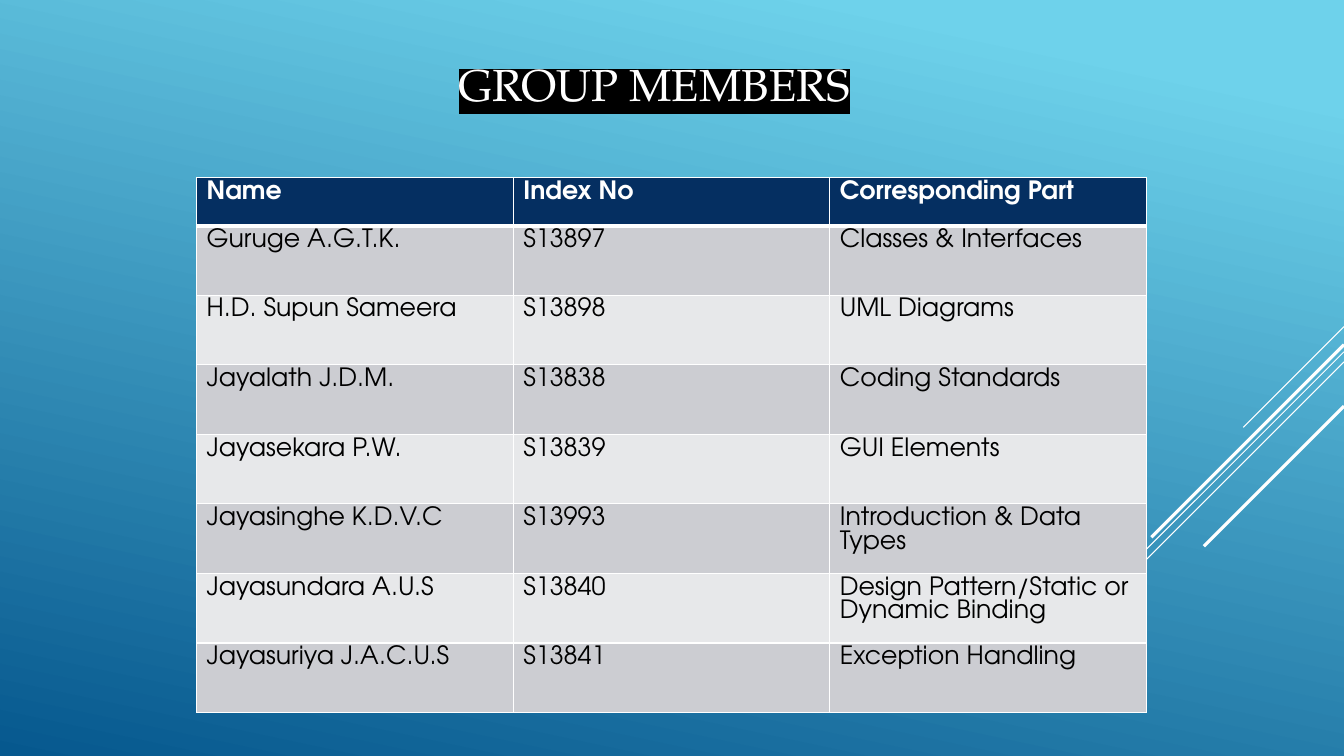
from lxml import etree
from pptx import Presentation
from pptx import util as u
from pptx.dml.color import RGBColor
from pptx.enum import shapes, text
from pptx.oxml.ns import qn


def rgb(value):
    return RGBColor.from_string(value)


class Deck:
    """Holds the presentation, its style and the current slide."""

    HEAD_FONT, BODY_FONT = "TeX Gyre Pagella", "TeX Gyre Adventor"
    WHITE, BLACK, NAVY = "FFFFFF", "000000", "052F61"
    BANDS = "CCCDD2", "E7E8EA"

    def __init__(self, width, height):
        self.prs = Presentation()
        self.prs.slide_width, self.prs.slide_height = u.Inches(width), u.Inches(height)
        self.s = self.prs.slides.add_slide(self.prs.slide_layouts[5])

    def background(self, stops, angle):
        fill = self.s.background.fill
        fill.gradient()
        fill.gradient_angle = angle
        for stop, (position, color) in zip(fill.gradient_stops, stops):
            stop.position, stop.color.rgb = position, rgb(color)

    def line(self, x1, y1, x2, y2, width):
        ln = self.s.shapes.add_connector(
            shapes.MSO_CONNECTOR.STRAIGHT, *map(u.Inches, (x1, y1, x2, y2)))
        ln.line.color.rgb, ln.line.width = rgb(self.WHITE), u.Pt(width)
        etree.SubElement(ln._element.spPr, qn("a:effectLst"))

    def font(self, p, name, size, color, bold=False):
        f = p.font
        f.name, f.size, f.bold, f.color.rgb = name, u.Pt(size), bold, rgb(color)

    def title(self, words, x, y, w, h):
        sp = self.s.shapes.title
        sp.left, sp.top, sp.width, sp.height = map(u.Inches, (x, y, w, h))
        tf = sp.text_frame
        tf.text, tf.word_wrap = words, True
        tf.vertical_anchor = text.MSO_ANCHOR.MIDDLE
        p = tf.paragraphs[0]
        p.alignment, p.line_spacing = text.PP_ALIGN.LEFT, 1.0
        self.font(p, self.HEAD_FONT, 32, self.WHITE)
        mark = etree.SubElement(p.runs[0]._r.get_or_add_rPr(), qn("a:highlight"))
        etree.SubElement(mark, qn("a:srgbClr"), val=self.BLACK)

    def border(self, cell, side, width):
        ln = etree.SubElement(cell._tc.get_or_add_tcPr(), qn(f"a:ln{side}"),
                              w=str(u.Pt(width)))
        fill = etree.SubElement(ln, qn("a:solidFill"))
        etree.SubElement(fill, qn("a:srgbClr"), val=self.WHITE)

    def cell(self, cell, words, row):
        header = row == 0
        for side in "LRTB":
            thick = (row, side) in ((0, "B"), (1, "T"))
            self.border(cell, side, 3 if thick else 1)
        cell.fill.solid()
        cell.fill.fore_color.rgb = rgb(self.NAVY if header else self.BANDS[(row - 1) % 2])
        cell.margin_top = u.Inches(0.03)
        cell.text = words
        p = cell.text_frame.paragraphs[0]
        p.line_spacing = 1.0
        self.font(p, self.BODY_FONT, 18, self.WHITE if header else self.BLACK, header)

    def table(self, rows, x, y, col_width, head_height, row_height):
        cols = len(rows[0])
        height = head_height + row_height * (len(rows) - 1)
        table = self.s.shapes.add_table(
            len(rows), cols, *map(u.Inches, (x, y, col_width * cols, height))).table
        for col in table.columns:
            col.width = u.Inches(col_width)
        for i, row in enumerate(rows):
            table.rows[i].height = u.Inches(row_height if i else head_height)
            for j, words in enumerate(row):
                self.cell(table.cell(i, j), words, i)


MEMBERS = [
    ("Name", "Index No", "Corresponding Part"),
    ("Guruge A.G.T.K.", "S13897", "Classes & Interfaces"),
    ("H.D. Supun Sameera", "S13898", "UML Diagrams"),
    ("Jayalath J.D.M.", "S13838", "Coding Standards"),
    ("Jayasekara P.W.", "S13839", "GUI Elements"),
    ("Jayasinghe K.D.V.C", "S13993", "Introduction & Data Types"),
    ("Jayasundara A.U.S", "S13840", "Design Pattern/Static or Dynamic Binding"),
    ("Jayasuriya J.A.C.U.S", "S13841", "Exception Handling"),
]
RAYS = [(3.24, 1, 0.75), (3.49, 3.26, 0.75), (3.59, 2.07, 0.75),
        (3.42, 1.91, 2.25), (4.03, 1.39, 2.25)]


def main():
    width = 13.33
    deck = Deck(width, 7.5)
    deck.background([(0.1, "6ED2EB"), (1, "06588E")], 258)
    for y, run, weight in RAYS:
        deck.line(width, y, width - run, y + run, weight)
    deck.title("GROUP MEMBERS", 4.45, 0, 4.44, 1.65)
    deck.table(MEMBERS, 1.95, 1.76, 3.14, 0.48, 0.69)
    deck.prs.save("out.pptx")


if __name__ == "__main__":
    main()
